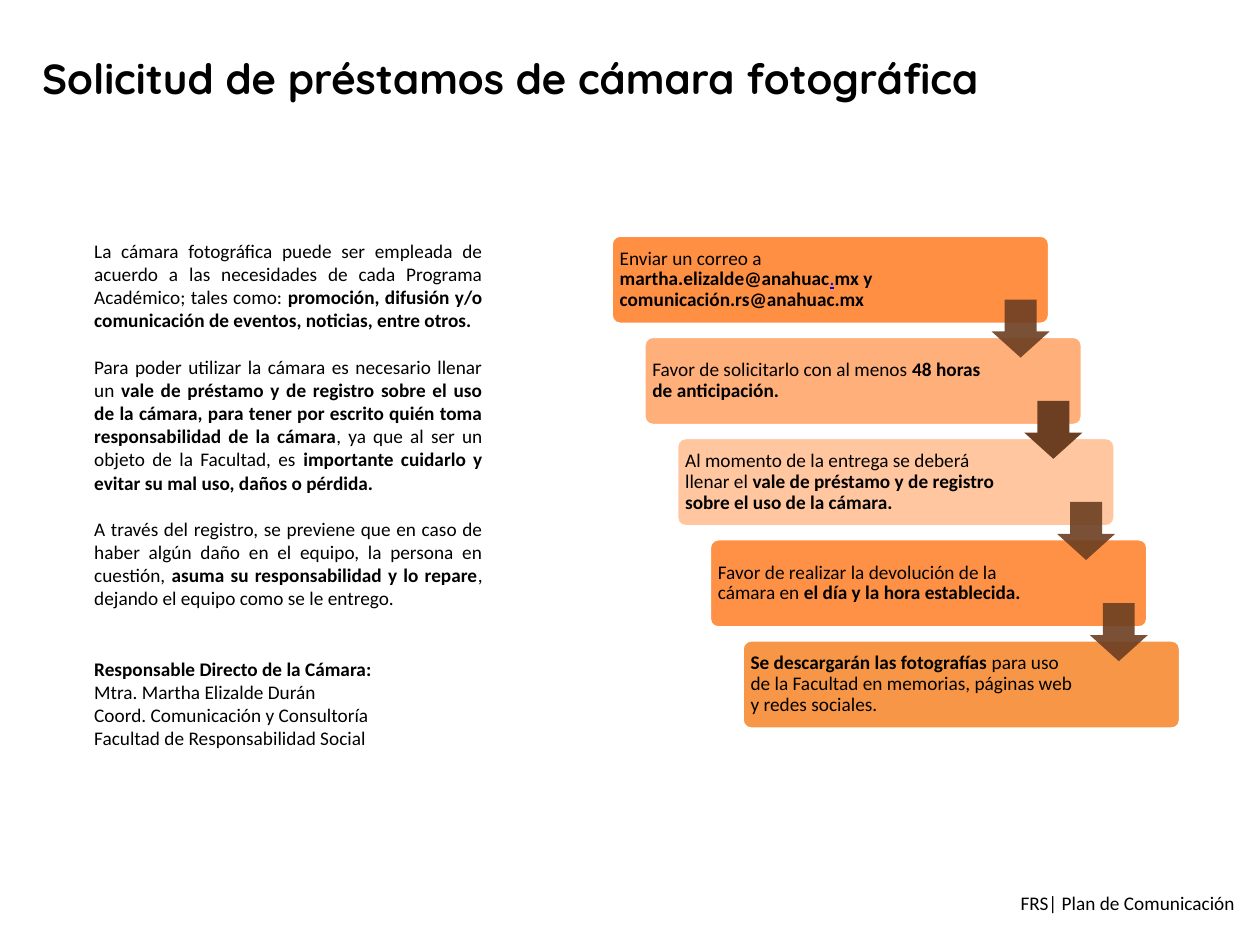
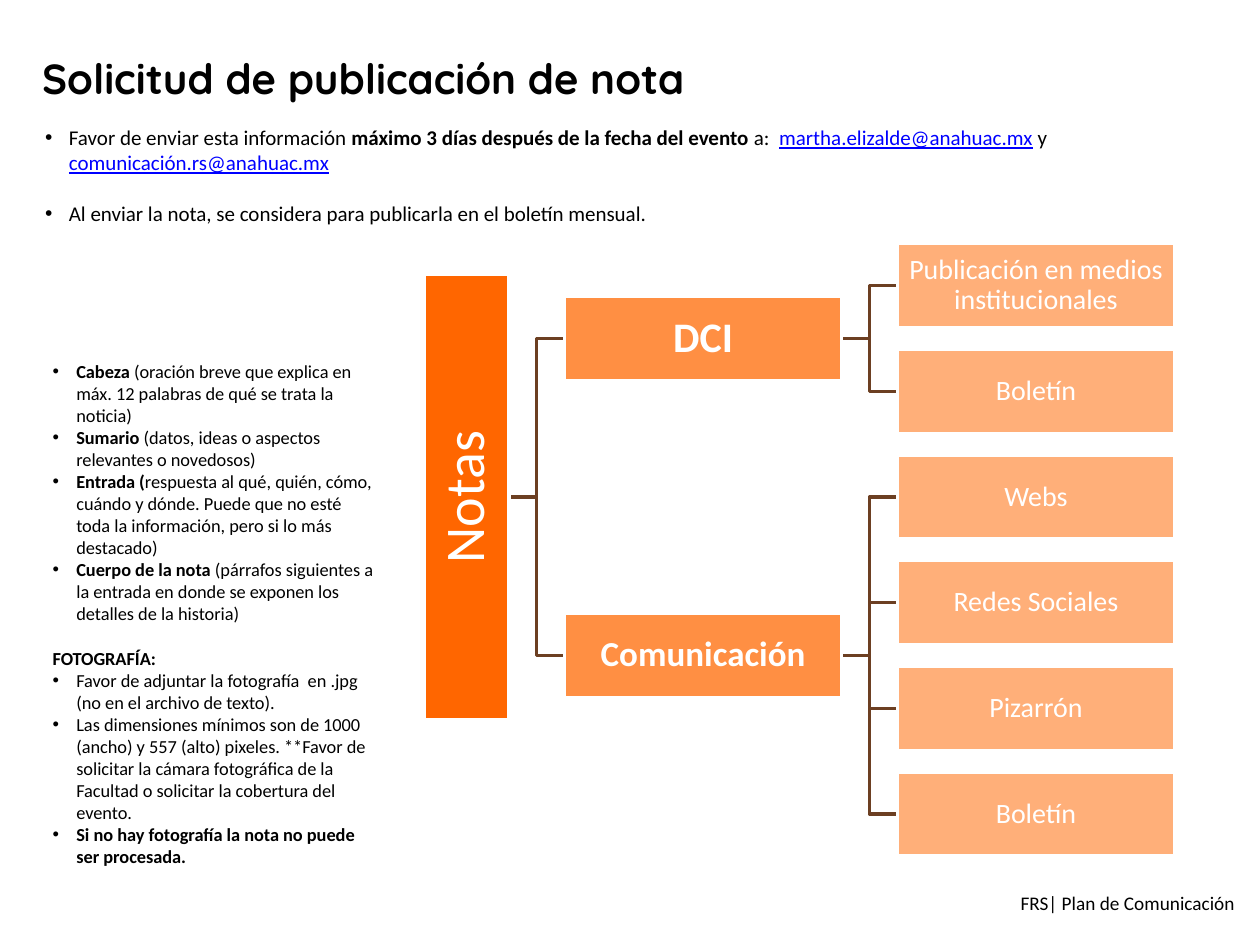
"""Builds two slides on camera loans and on publishing a news note."""
from lxml import etree
from pptx import Presentation, util as u
from pptx.dml.color import RGBColor
from pptx.enum import shapes, text
from pptx.oxml import ns

BLACK = RGBColor(0x00, 0x00, 0x00)
WHITE = RGBColor(0xFF, 0xFF, 0xFF)
LINK_BLUE = RGBColor(0x00, 0x00, 0xFF)
BROWN = RGBColor(0x6C, 0x3F, 0x22)
DEEP_ORANGE = RGBColor(0xFF, 0x66, 0x00)
ORANGE = RGBColor(0xFF, 0x8F, 0x43)
LIGHT_ORANGE = RGBColor(0xFF, 0xAF, 0x79)
PALE_ORANGE = RGBColor(0xFF, 0xC6, 0x9F)
RETURN_ORANGE = RGBColor(0xFF, 0x91, 0x47)
DOWNLOAD_ORANGE = RGBColor(0xF7, 0x96, 0x46)
LEFT, CENTER, JUSTIFY = text.PP_ALIGN.LEFT, text.PP_ALIGN.CENTER, text.PP_ALIGN.JUSTIFY
MIDDLE = text.MSO_ANCHOR.MIDDLE
PRESET = shapes.MSO_SHAPE


def add_box(slide, preset, left, top, width, height, fill, outline=None):
    """Adds a flat shape, measured in centimetres."""
    shape = slide.shapes.add_shape(preset, u.Cm(left), u.Cm(top), u.Cm(width), u.Cm(height))
    shape.shadow.inherit = False
    shape.fill.solid()
    shape.fill.fore_color.rgb = fill
    if outline is None:
        shape.line.fill.background()
    else:
        shape.line.color.rgb = outline
        shape.line.width = u.Pt(2)
    return shape


def write(shape, paragraphs, size, color=BLACK, align=LEFT, spacing=None, margins=None, anchor=None):
    """Writes (lines of gap, bulleted, runs) paragraphs; run styles are b (bold) and u (link)."""
    frame = shape.text_frame
    frame.word_wrap = True
    if anchor is not None:
        frame.vertical_anchor = anchor
    if margins:
        frame.margin_left, frame.margin_top, frame.margin_right, frame.margin_bottom = map(u.Cm, margins)
    for index, (gap, bulleted, runs) in enumerate(paragraphs):
        paragraph = frame.add_paragraph() if index else frame.paragraphs[0]
        if bulleted:
            properties = paragraph._p.get_or_add_pPr()
            properties.set("marL", str(u.Cm(0.48)))
            properties.set("indent", str(-u.Cm(0.48)))
            etree.SubElement(properties, ns.qn("a:buFont"), typeface="Arial")
            etree.SubElement(properties, ns.qn("a:buChar"), char="•")
        paragraph.alignment = align
        if spacing:
            paragraph.line_spacing = spacing
        if gap:
            paragraph.space_before = u.Pt(gap * size * 1.22)
        for content, style in runs:
            run = paragraph.add_run()
            run.text = content
            run.font.name = "Calibri"
            run.font.size = u.Pt(size)
            run.font.bold = style == "b"
            run.font.underline = style == "u"
            run.font.color.rgb = LINK_BLUE if style == "u" else color


presentation = Presentation()
presentation.slide_width, presentation.slide_height = u.Cm(25.4), u.Cm(19.05)

slides = []
for heading in ("Solicitud de préstamos de cámara fotográfica", "Solicitud de publicación de nota"):
    slide = presentation.slides.add_slide(presentation.slide_layouts[5])
    slides.append(slide)
    title = slide.shapes.title
    title.left, title.top, title.width, title.height = u.Cm(0.67), u.Cm(0.95), u.Cm(22), u.Cm(1.22)
    frame = title.text_frame
    frame.text = heading
    frame.auto_size = text.MSO_AUTO_SIZE.NONE
    frame.vertical_anchor = MIDDLE
    frame.margin_left = frame.margin_right = u.Cm(0.18)
    frame.margin_top = frame.margin_bottom = u.Cm(0.1)
    frame.paragraphs[0].alignment = LEFT
    font = frame.paragraphs[0].runs[0].font
    font.name, font.size, font.bold, font.color.rgb = "Quicksand", u.Pt(24), True, BLACK
    footer = add_box(slide, PRESET.RECTANGLE, 20.07, 16.91, 5.33, 1.65, WHITE)
    write(footer, [(0, False, [("FRS| Plan de Comunicación", "")])], 11,
          align=CENTER, anchor=text.MSO_ANCHOR.BOTTOM)
camera_slide, note_slide = slides

loan_steps = [
    (ORANGE, [("Enviar un correo a ", ""), ("martha.elizalde@anahuac", "b"), (".", "u"),
              ("mx y comunicación.rs@anahuac.mx", "b")]),
    (LIGHT_ORANGE, [("Favor de solicitarlo con al menos ", ""), ("48 horas de anticipación.", "b")]),
    (PALE_ORANGE, [("Al momento de la entrega se deberá llenar el ", ""),
                   ("vale de préstamo y de registro sobre el uso de la cámara.", "b")]),
    (RETURN_ORANGE, [("Favor de realizar la devolución de la cámara en ", ""),
                     ("el día y la hora establecida.", "b")]),
    (DOWNLOAD_ORANGE, [("Se descargarán las fotografías ", "b"),
                       ("para uso de la Facultad en memorias, páginas web y redes sociales.", "")]),
]
STEP_X, STEP_Y = 0.66, 2.04
for index, (fill, runs) in enumerate(loan_steps):
    card = add_box(camera_slide, PRESET.ROUNDED_RECTANGLE, 12.32 + index * STEP_X,
                   4.74 + index * STEP_Y, 8.84, 1.8, fill, WHITE)
    card.adjustments[0] = 0.1
    write(card, [(0, False, runs)], 11, spacing=0.9, margins=(0.12, 0.13, 1.96, 0.13), anchor=MIDDLE)
for index in range(len(loan_steps) - 1):
    arrow = add_box(camera_slide, PRESET.DOWN_ARROW, 19.99 + index * STEP_X,
                    6.04 + index * STEP_Y, 1.17, 1.17, BROWN)
    arrow.adjustments[0], arrow.adjustments[1] = 0.55, 0.45
    if index != 1:
        fill_color = arrow._element.spPr.find(ns.qn("a:solidFill"))[0]
        etree.SubElement(fill_color, ns.qn("a:alpha"), val="90000")

loan_rules = camera_slide.shapes.add_textbox(u.Cm(1.65), u.Cm(4.7), u.Cm(8.33), u.Cm(10.59))
write(loan_rules, [
    (0, False, [("La cámara fotográfica puede ser empleada de acuerdo a las necesidades de cada "
                 "Programa Académico; tales como: ", ""),
                ("promoción, difusión y/o comunicación de eventos, noticias, entre otros.", "b")]),
    (1, False, [("Para poder utilizar la cámara es necesario llenar un ", ""),
                ("vale de préstamo y de registro sobre el uso de la cámara, para tener por "
                 "escrito quién toma responsabilidad de la cámara", "b"),
                (", ya que al ser un objeto de la Facultad, es ", ""),
                ("importante cuidarlo y evitar su mal uso, daños o pérdida.", "b")]),
    (1, False, [("A través del registro, se previene que en caso de haber algún daño en el "
                 "equipo, la persona en cuestión, ", ""),
                ("asuma su responsabilidad y lo repare", "b"),
                (", dejando el equipo como se le entrego.", "")]),
    (2, False, [("Responsable Directo de la Cámara:", "b")]),
    (0, False, [("Mtra. Martha Elizalde Durán", "")]),
    (0, False, [("Coord. Comunicación y Consultoría", "")]),
    (0, False, [("Facultad de Responsabilidad Social", "")]),
], 11, align=JUSTIFY)

delivery = note_slide.shapes.add_textbox(u.Cm(0.66), u.Cm(2.39), u.Cm(22.78), u.Cm(2.31))
write(delivery, [
    (0, True, [("Favor de enviar esta información ", ""),
               ("máximo 3 días después de la fecha del evento ", "b"), ("a:  ", ""),
               ("martha.elizalde@anahuac.mx", "u"), (" y ", ""), ("comunicación.rs@anahuac.mx", "u")]),
    (1, True, [("Al enviar la nota, se considera para publicarla en el boletín mensual.", "")]),
], 12)

branches = [
    ("DCI", 24, ["Publicación en medios institucionales", "Boletín"]),
    ("Comunicación", 20, ["Webs", "Redes Sociales", "Pizarrón", "Boletín"]),
]
NODE_WIDTH, NODE_HEIGHT, GAP = 5.59, 1.7, 1.12
ROOT_RIGHT, ROOT_LENGTH = 10.26, 8.97
FIRST_LEAF_Y, LEAF_STEP = 5.76, 2.13
branch_x = ROOT_RIGHT + GAP
leaf_x = branch_x + NODE_WIDTH + GAP

links, nodes, branch_centers = [], [], []
leaf_count = 0
for name, size, leaves in branches:
    leaf_centers = [FIRST_LEAF_Y + LEAF_STEP * (leaf_count + index) for index in range(len(leaves))]
    leaf_count += len(leaves)
    center = sum(leaf_centers) / len(leaves)
    branch_centers.append(center)
    nodes.append((name, size, "b", branch_x, center, ORANGE))
    for leaf, leaf_center in zip(leaves, leaf_centers):
        links.append((leaf_x - GAP, center, leaf_center))
        nodes.append((leaf, 16, "", leaf_x, leaf_center, LIGHT_ORANGE))
root_center = sum(branch_centers) / len(branch_centers)
links += [(ROOT_RIGHT, root_center, center) for center in branch_centers]

for start_x, start_y, end_y in links:
    elbow = note_slide.shapes.build_freeform(u.Cm(start_x), u.Cm(start_y))
    elbow.add_line_segments([(u.Cm(start_x + GAP / 2), u.Cm(start_y)),
                             (u.Cm(start_x + GAP / 2), u.Cm(end_y)),
                             (u.Cm(start_x + GAP), u.Cm(end_y))], close=False)
    link = elbow.convert_to_shape()
    link.shadow.inherit = False
    link.fill.background()
    link.line.color.rgb = BROWN
    link.line.width = u.Pt(2)

root = add_box(note_slide, PRESET.RECTANGLE, ROOT_RIGHT - (NODE_HEIGHT + ROOT_LENGTH) / 2,
               root_center - NODE_HEIGHT / 2, ROOT_LENGTH, NODE_HEIGHT, DEEP_ORANGE, WHITE)
root.rotation = 270
write(root, [(0, False, [("Notas", "")])], 32, WHITE, CENTER, 0.9, [0.05] * 4, MIDDLE)
for name, size, style, left, center, fill in nodes:
    node = add_box(note_slide, PRESET.RECTANGLE, left, center - NODE_HEIGHT / 2,
                   NODE_WIDTH, NODE_HEIGHT, fill, WHITE)
    write(node, [(0, False, [(name, style)])], size, WHITE, CENTER, 0.9, [0.03] * 4, MIDDLE)

note_parts = note_slide.shapes.add_textbox(u.Cm(0.81), u.Cm(7.14), u.Cm(7.04), u.Cm(10.59))
write(note_parts, [
    (0, True, [("Cabeza ", "b"),
               ("(oración breve que explica en máx. 12 palabras de qué se trata la noticia)", "")]),
    (0, True, [("Sumario ", "b"), ("(datos, ideas o aspectos relevantes o novedosos)", "")]),
    (0, True, [("Entrada (", "b"),
               ("respuesta al qué, quién, cómo, cuándo y dónde. Puede que no esté toda la "
                "información, pero si lo más destacado)", "")]),
    (0, True, [("Cuerpo de la nota ", "b"),
               ("(párrafos siguientes a la entrada en donde se exponen los detalles de la historia)", "")]),
    (1, False, [("FOTOGRAFÍA:", "b")]),
    (0, True, [("Favor de adjuntar la fotografía  en .jpg (no en el archivo de texto).", "")]),
    (0, True, [("Las dimensiones mínimos son de 1000 (ancho) y 557 (alto) pixeles. **Favor de "
                "solicitar la cámara fotográfica de la Facultad o solicitar la cobertura del evento.", "")]),
    (0, True, [("Si no hay fotografía la nota no puede ser procesada.", "b")]),
], 10.5)

presentation.save("out.pptx")
